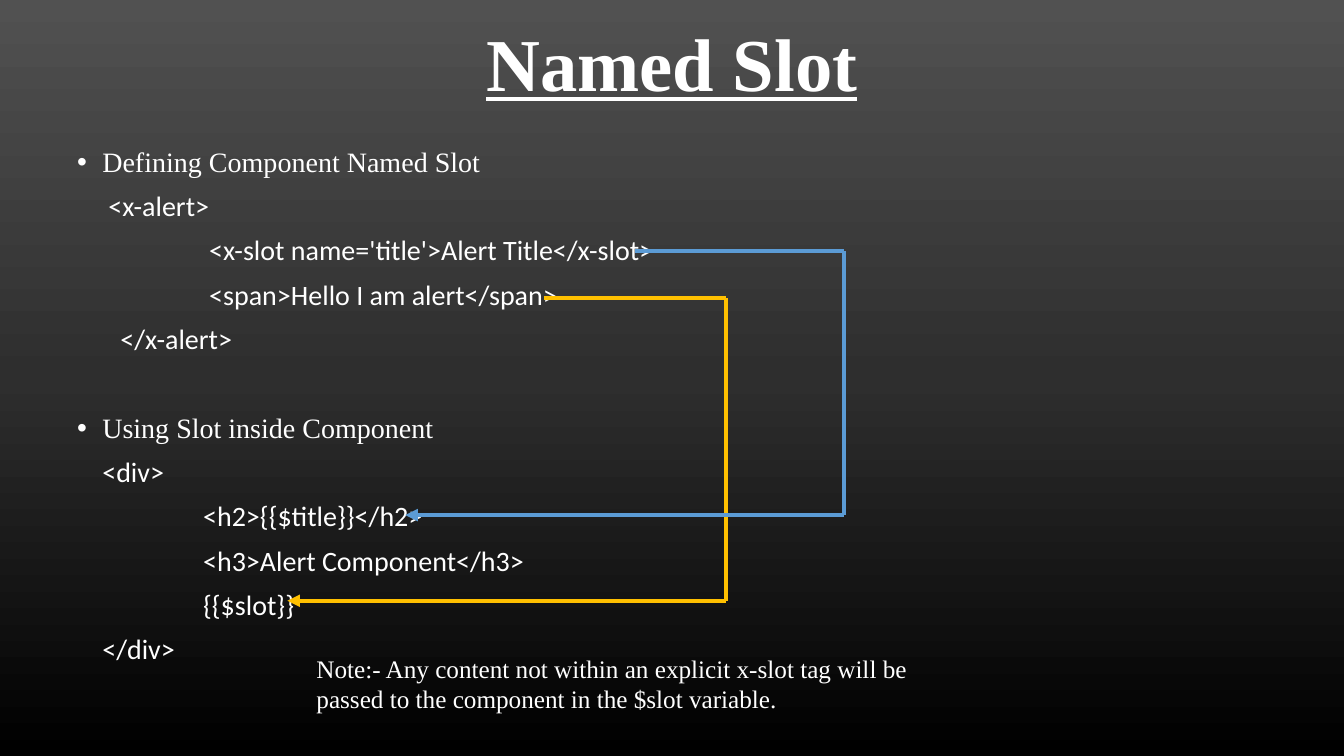
from copy import deepcopy
from itertools import pairwise
from lxml import etree
from pptx import Presentation
from pptx import util as u
from pptx.dml.color import RGBColor
from pptx.enum import shapes, text
from pptx.oxml.ns import qn

WIDE, HIGH = 13.33, 7.5
SERIF, SANS = "Times New Roman", "Calibri"


def hue(code):
    return RGBColor.from_string(code)


def put(para, words, size=20, font=SERIF, bold=False, under=False,
        left=0, hang=0, line=1.0, gap=0):
    props = para._p.get_or_add_pPr()
    props.set("marL", str(u.Inches(left)))
    props.set("indent", str(u.Inches(-hang)))
    para.line_spacing = line
    if gap:
        para.space_before = u.Pt(gap)
    if hang:
        face = etree.SubElement(props, qn("a:buFont"))
        face.set("typeface", "Arial")
        etree.SubElement(props, qn("a:buChar")).set("char", "•")
    run = para.add_run()
    run.text = words
    run.font.size = u.Pt(size)
    run.font.name = font
    run.font.bold = bold
    run.font.underline = under
    run.font.color.rgb = hue("FFFFFF")


def frame(left, top, wide, high):
    box = slide.shapes.add_textbox(*map(u.Inches, (left, top, wide, high)))
    box.text_frame.word_wrap = True
    return box.text_frame


deck = Presentation()
deck.slide_width, deck.slide_height = u.Inches(WIDE), u.Inches(HIGH)
slide = deck.slides.add_slide(deck.slide_layouts[6])

fill = slide.background.fill
fill.gradient()
fill.gradient_angle = 270
stops = slide.element.find(".//" + qn("a:gsLst"))
stops.append(deepcopy(stops[0]))
shades = [(0, "515151"), (0.5, "2E2E2E"), (1, "000000")]
for stop, (place, shade) in zip(fill.gradient_stops, shades):
    stop.position = place
    stop.color.rgb = hue(shade)

edge = WIDE * 0.05
title = frame(edge, 0.04, WIDE * 0.9, HIGH / 6)
title.vertical_anchor = text.MSO_ANCHOR.MIDDLE
head = title.paragraphs[0]
head.alignment = text.PP_ALIGN.CENTER
put(head, "Named Slot", size=53.3, bold=True, under=True, line=0.9)

topic = dict(left=0.25, hang=0.25)
lines = [
    ("Defining Component Named Slot", topic),
    ("<x-alert>", dict(left=0.31)),
    ("<x-slot name='title'>Alert Title</x-slot>", dict(left=1.31)),
    ("<span>Hello I am alert</span>", dict(left=1.31)),
    ("</x-alert>", dict(left=0.43)),
    ("Using Slot inside Component", dict(topic, gap=42)),
    ("<div>", dict(left=0.25)),
    ("<h2>{{$title}}</h2>", dict(left=1.25)),
    ("<h3>Alert Component</h3>", dict(left=1.25)),
    ("{{$slot}}", dict(left=1.25)),
    ("</div>", dict(left=0.25)),
]
body = frame(edge, 1.42, WIDE * 0.9, 5.66)
for row, (words, form) in enumerate(lines):
    para = body.add_paragraph() if row else body.paragraphs[0]
    font = SERIF if "hang" in form else SANS
    put(para, words, **{"font": font, "line": 0.9, "gap": 10 if row else 0, **form})

routes = [
    ("FFC000", [(5.4, 2.96), (7.2, 2.96), (7.2, 5.96), (2.85, 5.96)]),
    ("5B9BD5", [(6.3, 2.49), (8.37, 2.49), (8.37, 5.11), (4.02, 5.11)]),
]
for shade, points in routes:
    group = slide.shapes.add_group_shape()
    for start, end in pairwise(points):
        link = group.shapes.add_connector(
            shapes.MSO_CONNECTOR.STRAIGHT, *map(u.Inches, start + end))
        link.line.color.rgb = hue(shade)
        link.line.width = u.Pt(3)
        etree.SubElement(link._element.spPr, qn("a:effectLst"))
    tip = etree.SubElement(link.line._get_or_add_ln(), qn("a:tailEnd"))
    tip.set("type", "triangle")

note = frame(3.04, 6.43, 6.18, 0.71)
note.auto_size = text.MSO_AUTO_SIZE.SHAPE_TO_FIT_TEXT
put(note.paragraphs[0], "Note:- Any content not within an explicit x-slot tag will be "
    "passed to the component in the $slot variable.", size=18)

deck.save("out.pptx")
